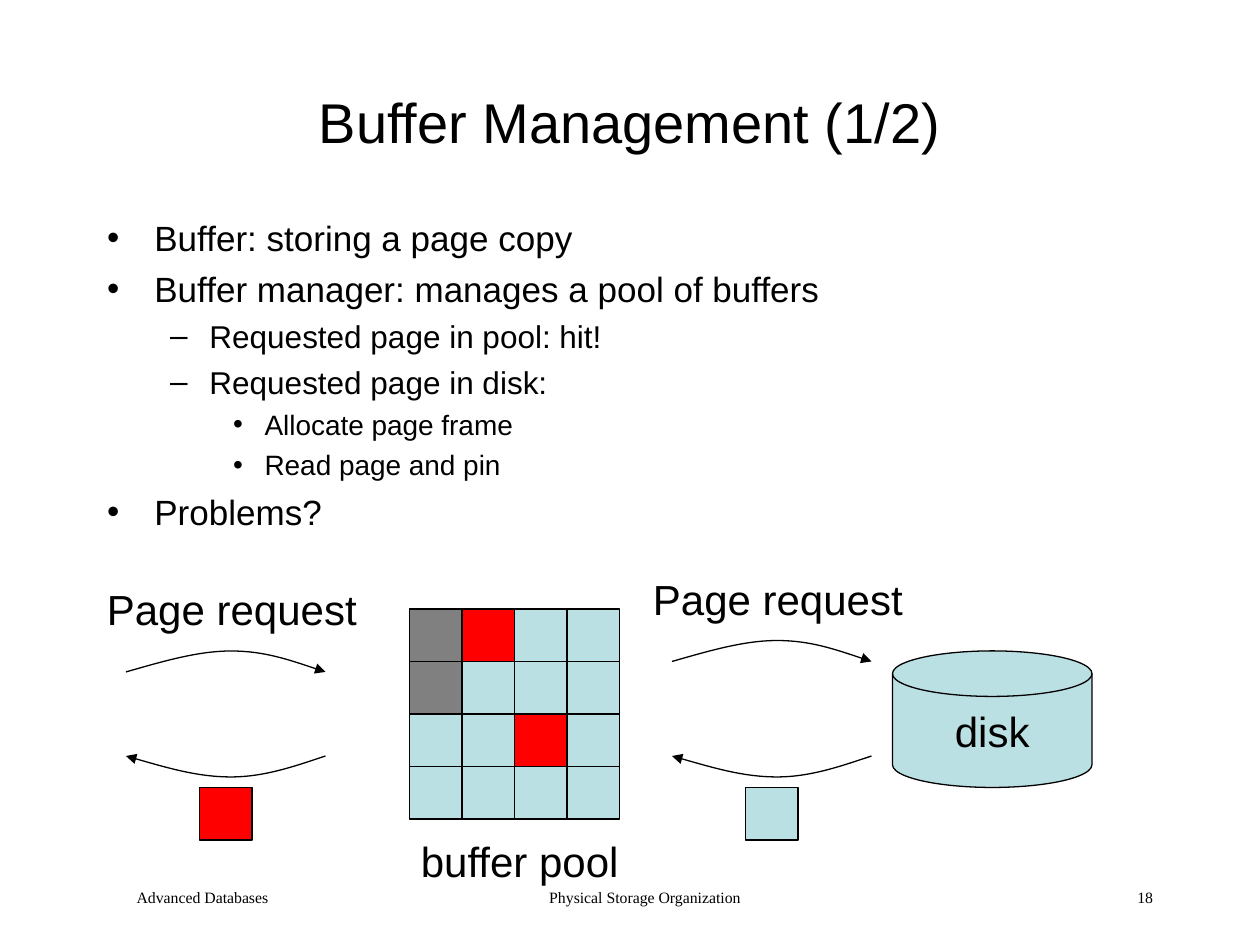
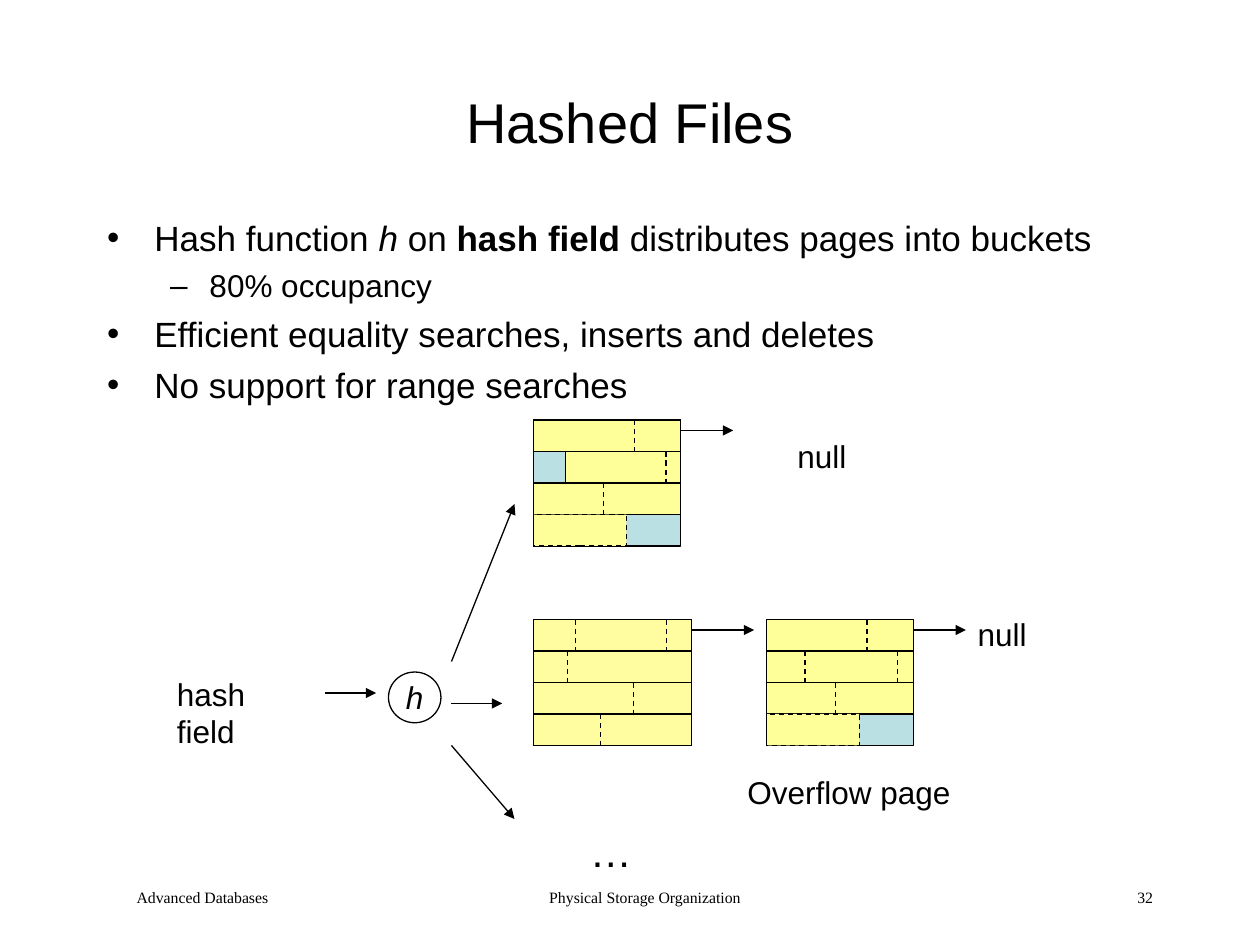
from pptx import Presentation
from pptx.dml.color import RGBColor
from pptx.enum.dml import MSO_LINE_DASH_STYLE as Dash
from pptx.enum.shapes import MSO_CONNECTOR as Connector, MSO_SHAPE as Preset
from pptx.enum.text import MSO_ANCHOR as Anchor, MSO_AUTO_SIZE as AutoSize, PP_ALIGN as Align
from pptx.oxml.ns import qn
from pptx.oxml.xmlchemy import OxmlElement
from pptx.util import Pt

BLACK = RGBColor(0x00, 0x00, 0x00)
GRAY = RGBColor(0x80, 0x80, 0x80)
RED = RGBColor(0xFF, 0x00, 0x00)
PALE_BLUE = RGBColor(0xBB, 0xE0, 0xE3)
YELLOW = RGBColor(0xFF, 0xFF, 0x99)
FULL_PAGE_YELLOW = RGBColor(0xFF, 0xFD, 0xA0)

FRAME = 30
ROW = 18
LEVELS = [("•", 20, 27, 27, 5), ("–", 18, 58.5, 22.5, 4.5), ("•", 16, 90, 18, 4)]
CURVE = [(0, 12), (21, 6), (41, 0), (60, 0), (79, 0), (96, 6), (114, 12)]


def write(paragraph, text, size=18, font="Arial", align=None, bold=False, italic=False):
    """Append one formatted run to a paragraph."""
    run = paragraph.add_run()
    run.text = text
    run.font.size = Pt(size)
    run.font.name = font
    run.font.bold = bold
    run.font.italic = italic
    run.font.color.rgb = BLACK
    if align is not None:
        paragraph.alignment = align


def add_child(parent, tag, **attributes):
    """Append a DrawingML element and return it."""
    child = OxmlElement(tag)
    for name, value in attributes.items():
        child.set(name, str(value))
    parent.append(child)
    return child


def place(shape, left, top, width, height):
    """Move a shape to a box."""
    shape.left, shape.top = Pt(left), Pt(top)
    shape.width, shape.height = Pt(width), Pt(height)


def add_label(slide, text, left, top, width, height, anchor=Anchor.TOP, wrap=False, **text_format):
    """Add a text box and return its paragraph."""
    box = slide.shapes.add_textbox(Pt(left), Pt(top), Pt(width), Pt(height))
    frame = box.text_frame
    frame.word_wrap = wrap
    frame.vertical_anchor = anchor
    write(frame.paragraphs[0], text, **text_format)
    return frame.paragraphs[0]


def set_line(shape, dashed=False, arrow=False):
    """Give a shape or connector the thin black line."""
    shape.line.color.rgb = BLACK
    shape.line.width = Pt(0.75)
    if dashed:
        shape.line.dash_style = Dash.DASH
    if arrow:
        add_child(shape.element.find(".//" + qn("a:ln")), "a:tailEnd", type="triangle")


def add_block(slide, preset, left, top, width, height, fill=None, dashed=False, text="", **text_format):
    """Add an outlined preset shape, with centred text if any."""
    shape = slide.shapes.add_shape(preset, Pt(left), Pt(top), Pt(width), Pt(height))
    shape.shadow.inherit = False
    if fill is None:
        shape.fill.background()
    else:
        shape.fill.solid()
        shape.fill.fore_color.rgb = fill
    set_line(shape, dashed)
    if text:
        frame = shape.text_frame
        frame.word_wrap = False
        frame.vertical_anchor = Anchor.MIDDLE
        write(frame.paragraphs[0], text, align=Align.CENTER, **text_format)


def add_line(slide, x1, y1, x2, y2, **line_format):
    """Add a straight line."""
    line = slide.shapes.add_connector(Connector.STRAIGHT, Pt(x1), Pt(y1), Pt(x2), Pt(y2))
    set_line(line, **line_format)
    add_child(line.element.spPr, "a:effectLst")


def add_curved_arrow(slide, left, top, backward=False):
    """Add an arched arrow to the right, or a sagging one to the left."""
    points = [(Pt(left + x), Pt(top + y)) for x, y in CURVE]
    if backward:
        points = [(Pt(left + x), Pt(top + 12 - y)) for x, y in reversed(CURVE)]
    builder = slide.shapes.build_freeform(*points[0])
    builder.add_line_segments(points[1:], close=False)
    shape = builder.convert_to_shape()
    outline = shape.element.find(".//" + qn("a:path"))
    segments = outline.findall(qn("a:lnTo"))
    for start in range(0, len(segments), 3):
        bezier = add_child(outline, "a:cubicBezTo")
        for segment in segments[start:start + 3]:
            bezier.append(segment[0])
            outline.remove(segment)
    shape.shadow.inherit = False
    shape.fill.background()
    set_line(shape, arrow=True)


def fill_bullets(body, items):
    """Write (level, runs) items into the body placeholder."""
    place(body, 54, 120, 612, 372)
    frame = body.text_frame
    frame.auto_size = AutoSize.NONE
    for index, (level, runs) in enumerate(items):
        paragraph = frame.add_paragraph() if index else frame.paragraphs[0]
        bullet, size, margin, hanging, space = LEVELS[level]
        paragraph.level = level
        paragraph.space_before = Pt(space)
        properties = paragraph._p.get_or_add_pPr()
        properties.set("marL", str(Pt(margin)))
        properties.set("indent", str(-Pt(hanging)))
        add_child(add_child(properties, "a:buClr"), "a:srgbClr", val=BLACK)
        add_child(properties, "a:buFont", typeface="Arial")
        add_child(properties, "a:buChar", char=bullet)
        for text, run_format in runs:
            write(paragraph, text, size=size, **run_format)


def add_footers(slide, number):
    """Add the course, the topic and the slide number."""
    footers = [
        ("Advanced Databases", 54, 150, Align.LEFT),
        ("Physical Storage Organization", 246, 228, Align.CENTER),
        (number, 516, 150, Align.RIGHT),
    ]
    for text, left, width, align in footers:
        paragraph = add_label(slide, text, left, 504, width, 24, wrap=True,
                              size=9, font="Times New Roman", align=align)
        properties = paragraph._p.get_or_add_pPr()
        properties.set("marL", str(Pt(17)))
        properties.set("indent", "0")


def add_content_slide(presentation, title, items, number):
    """Add a slide with title, bullets and footers."""
    slide = presentation.slides.add_slide(presentation.slide_layouts[1])
    heading = slide.shapes.title
    place(heading, 54, 24, 612, 90)
    heading.text_frame.auto_size = AutoSize.NONE
    heading.text_frame.vertical_anchor = Anchor.MIDDLE
    write(heading.text_frame.paragraphs[0], title, size=32, align=Align.CENTER)
    fill_bullets(slide.placeholders[1], items)
    add_footers(slide, number)
    return slide


def draw_buffer_pool(slide, left, top):
    """Draw the four by four grid of page frames with its caption."""
    special = {(0, 0): GRAY, (1, 0): GRAY, (0, 1): RED, (2, 2): RED}
    for row in range(4):
        for column in range(4):
            add_block(slide, Preset.RECTANGLE, left + column * FRAME, top + row * FRAME,
                      FRAME, FRAME, special.get((row, column), PALE_BLUE))
    add_label(slide, "buffer pool", left - 30, top + 126, 186, 36,
              anchor=Anchor.MIDDLE, size=24, align=Align.CENTER)


def draw_exchange(slide, left, top, return_top, page_color):
    """Draw a page request and the page that comes back."""
    add_label(slide, "Page request", left - 18, top, 157, 36, size=24)
    add_curved_arrow(slide, left, top + 42)
    add_curved_arrow(slide, left, return_top, backward=True)
    add_block(slide, Preset.RECTANGLE, left + 42, return_top + 18, FRAME, FRAME, page_color)


def draw_page(slide, left, top, rows, width=84, color=YELLOW):
    """Draw a bucket page from rows of (start, end, record borders)."""
    add_block(slide, Preset.RECTANGLE, left, top, width, ROW * len(rows), PALE_BLUE)
    for index, (start, end, borders) in enumerate(rows):
        row_top = top + index * ROW
        partial = end < width
        add_block(slide, Preset.RECTANGLE, left + start, row_top, end - start, ROW, color, dashed=partial)
        if partial:
            add_line(slide, left, row_top, left, row_top + ROW)
        for border in borders:
            add_line(slide, left + border, row_top, left + border, row_top + ROW, dashed=True)


def draw_hash_function(slide, left, top):
    """Draw the hash field, the function h and the arrows to the buckets."""
    add_label(slide, "hash field", left, top, 91, 29)
    add_line(slide, left + 92, top + 14, left + 121, top + 14, arrow=True)
    add_block(slide, Preset.OVAL, left + 128, top + 2, 30, 29, text="h", italic=True)
    for start, run, end in [(-4, 36, -94), (20, 29, 20), (44, 36, 86)]:
        add_line(slide, left + 164, top + start, left + 164 + run, top + end, arrow=True)


def draw_buckets(slide, left, top):
    """Draw the bucket pages, their overflow page and the next-page arrows."""
    chain_top, overflow_left = top + 114, left + 133
    tail_row = (0, 53, [])
    draw_page(slide, left, top, [(0, 84, [57.5]), (18, 84, [75.5]), (0, 84, [40]), tail_row])
    draw_page(slide, left, chain_top,
              [(0, 90, [24, 76]), (0, 90, [19.5]), (0, 90, [57]), (0, 90, [38])],
              width=90, color=FULL_PAGE_YELLOW)
    draw_page(slide, overflow_left, chain_top,
              [(0, 84, [57.5]), (0, 84, [22, 75]), (0, 84, [39.5]), tail_row])
    for start, y, length in [(left + 84, top, 30), (left + 90, chain_top, 36),
                             (overflow_left + 84, chain_top, 30)]:
        add_line(slide, start, y + 6, start + length, y + 6, arrow=True)
    add_label(slide, "null", left + 143.5, top + 6, 42.5, 29)
    add_label(slide, "null", overflow_left + 113.5, chain_top - 6, 42.5, 29)
    add_label(slide, "Overflow page", overflow_left - 18, chain_top + 84, 143, 29, wrap=True)
    add_label(slide, "…", left + 25, chain_top + 114, 38, 36, size=24)


def build_buffer_slide(presentation):
    """Build the buffer management slide."""
    lines = [
        (0, "Buffer: storing a page copy"),
        (0, "Buffer manager: manages a pool of buffers"),
        (1, "Requested page in pool: hit!"),
        (1, "Requested page in disk:"),
        (2, "Allocate page frame"),
        (2, "Read page and pin"),
        (0, "Problems?"),
    ]
    items = [(level, [(text, {})]) for level, text in lines]
    slide = add_content_slide(presentation, "Buffer Management (1/2)", items, "18")
    add_block(slide, Preset.FLOWCHART_MAGNETIC_DISK, 510, 372, 114, 78, PALE_BLUE, text="disk", size=24)
    draw_buffer_pool(slide, 234, 348)
    draw_exchange(slide, 72, 330, 432, RED)
    draw_exchange(slide, 384, 324, 432, PALE_BLUE)


def build_hash_slide(presentation):
    """Build the hashed files slide."""
    items = [
        (0, [("Hash function ", {}), ("h ", {"italic": True}), ("on ", {}),
             ("hash field", {"bold": True}), (" distributes pages into buckets", {})]),
        (1, [("80% occupancy", {})]),
        (0, [("Efficient equality searches, inserts and deletes", {})]),
        (0, [("No support for range searches", {})]),
    ]
    slide = add_content_slide(presentation, "Hashed Files", items, "32")
    draw_hash_function(slide, 94, 382)
    draw_buckets(slide, 305, 240)


def main():
    """Build and save the presentation."""
    presentation = Presentation()
    presentation.slide_width, presentation.slide_height = Pt(720), Pt(540)
    build_buffer_slide(presentation)
    build_hash_slide(presentation)
    presentation.save("out.pptx")


if __name__ == "__main__":
    main()
